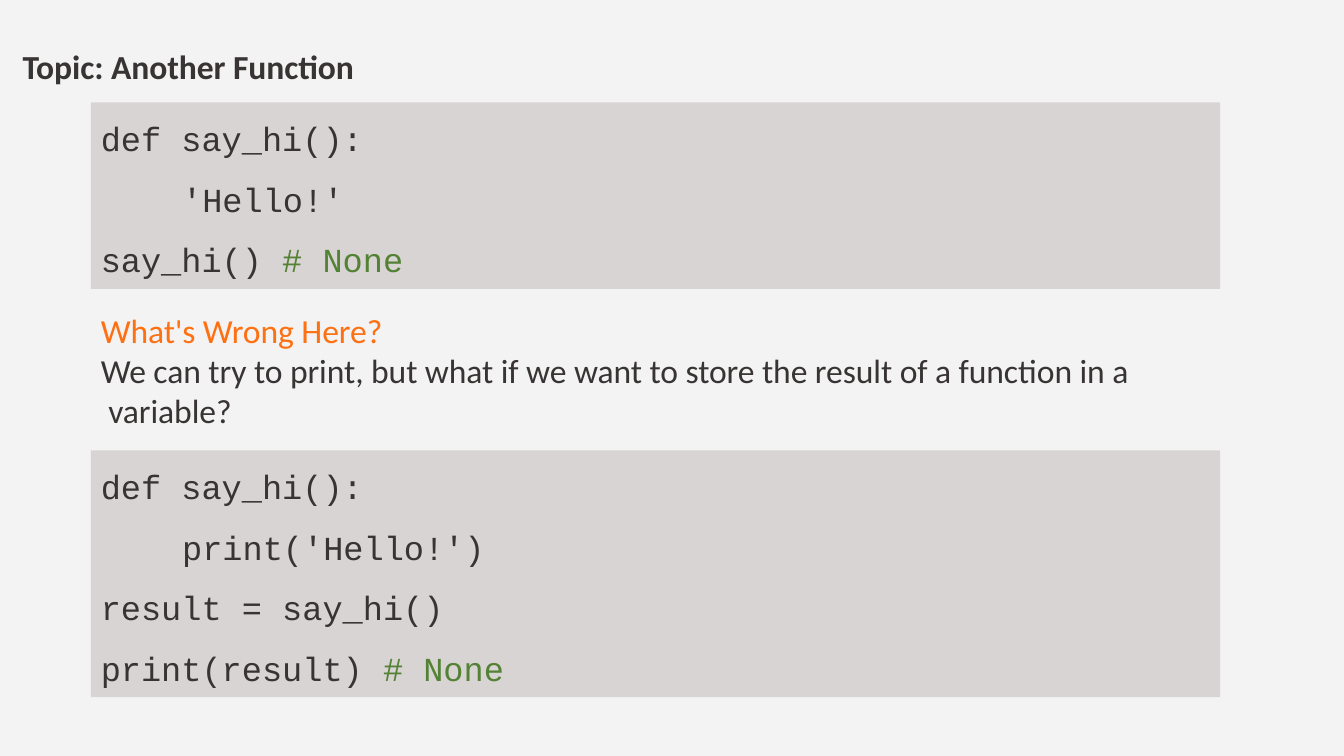
import pptx
import pptx.dml.color
import pptx.enum.shapes
import pptx.enum.text
import pptx.util

Cm = pptx.util.Cm
Pt = pptx.util.Pt

HUES = {
    "back": "F3F3F3",
    "panel": "D9D4D4",
    "ink": "393434",
    "ask": "FD7113",
    "note": "538235",
}


def tint(name):
    return pptx.dml.color.RGBColor.from_string(HUES[name])


class Deck:
    """Holds the text style and the current slide."""

    prose = {"name": "Calibri", "size": Pt(24), "bold": False}
    title = {**prose, "bold": True}
    mono = {**prose, "name": "Courier New"}

    def __init__(self):
        self.file = pptx.Presentation()
        self.file.slide_width = Cm(33.87)
        self.file.slide_height = Cm(19.05)
        self.slide = self.file.slides.add_slide(self.file.slide_layouts[6])
        fill = self.slide.background.fill
        fill.solid()
        fill.fore_color.rgb = tint("back")

    def frame(self, shape, top):
        body = shape.text_frame
        form = {
            "word_wrap": True,
            "vertical_anchor": pptx.enum.text.MSO_ANCHOR.TOP,
            "margin_left": 0,
            "margin_right": 0,
            "margin_top": Cm(top),
            "margin_bottom": 0,
        }
        for key, value in form.items():
            setattr(body, key, value)
        return body

    def line(self, body, first, runs, font, left=0, hang=0, space=1.0, track=0):
        """Add a paragraph of (text, hue) runs.

        left and hang are in cm, track in hundredths of a point.
        """
        para = body.paragraphs[0] if first else body.add_paragraph()
        para.alignment = pptx.enum.text.PP_ALIGN.LEFT
        para.line_spacing = space
        props = para._p.get_or_add_pPr()
        props.set("marL", str(Cm(left)))
        props.set("indent", str(Cm(-hang)))
        for text, hue in runs:
            run = para.add_run()
            run.text = text
            for key, value in font.items():
                setattr(run.font, key, value)
            run.font.color.rgb = tint(hue)
            run._r.get_or_add_rPr().set("spc", str(track))

    def text(self, box, lines, font, hang=0):
        shape = self.slide.shapes.add_textbox(*map(Cm, box))
        body = self.frame(shape, 0.03)
        for i, run in enumerate(lines):
            self.line(body, i == 0, [run], font, 0.03 + hang, hang, track=-6)

    def code(self, top, height, rows):
        """Draw a panel of (level, code, comment) rows."""
        shape = self.slide.shapes.add_shape(
            pptx.enum.shapes.MSO_SHAPE.RECTANGLE,
            Cm(2.29), Cm(top), Cm(28.46), Cm(height))
        shape.shadow.inherit = False
        shape.fill.solid()
        shape.fill.fore_color.rgb = tint("panel")
        shape.line.fill.background()
        body = self.frame(shape, 0.4)
        for i, (level, text, note) in enumerate(rows):
            runs = [(text, "ink")] + ([(note, "note")] if note else [])
            self.line(body, i == 0, runs, self.mono,
                      left=0.25 + 2.05 * level, space=1.5 if i else 1.0)


def main():
    deck = Deck()
    deck.text((0.54, 1.12, 9.5, 1.09),
              [("Topic: Another Function", "ink")], deck.title)
    deck.code(2.58, 4.7, [
        (0, "def say_hi():", ""),
        (1, "'Hello!'", ""),
        (0, "say_hi() ", "# None"),
    ])
    deck.text((2.51, 7.77, 26.1, 3.12), [
        ("What's Wrong Here?", "ask"),
        ("We can try to print, but what if we want to store the result "
         "of a function in a variable?", "ink"),
    ], deck.prose, hang=0.19)
    deck.code(11.35, 6.22, [
        (0, "def say_hi():", ""),
        (1, "print('Hello!')", ""),
        (0, "result = say_hi()", ""),
        (0, "print(result) ", "# None"),
    ])
    deck.file.save("out.pptx")


if __name__ == "__main__":
    main()
